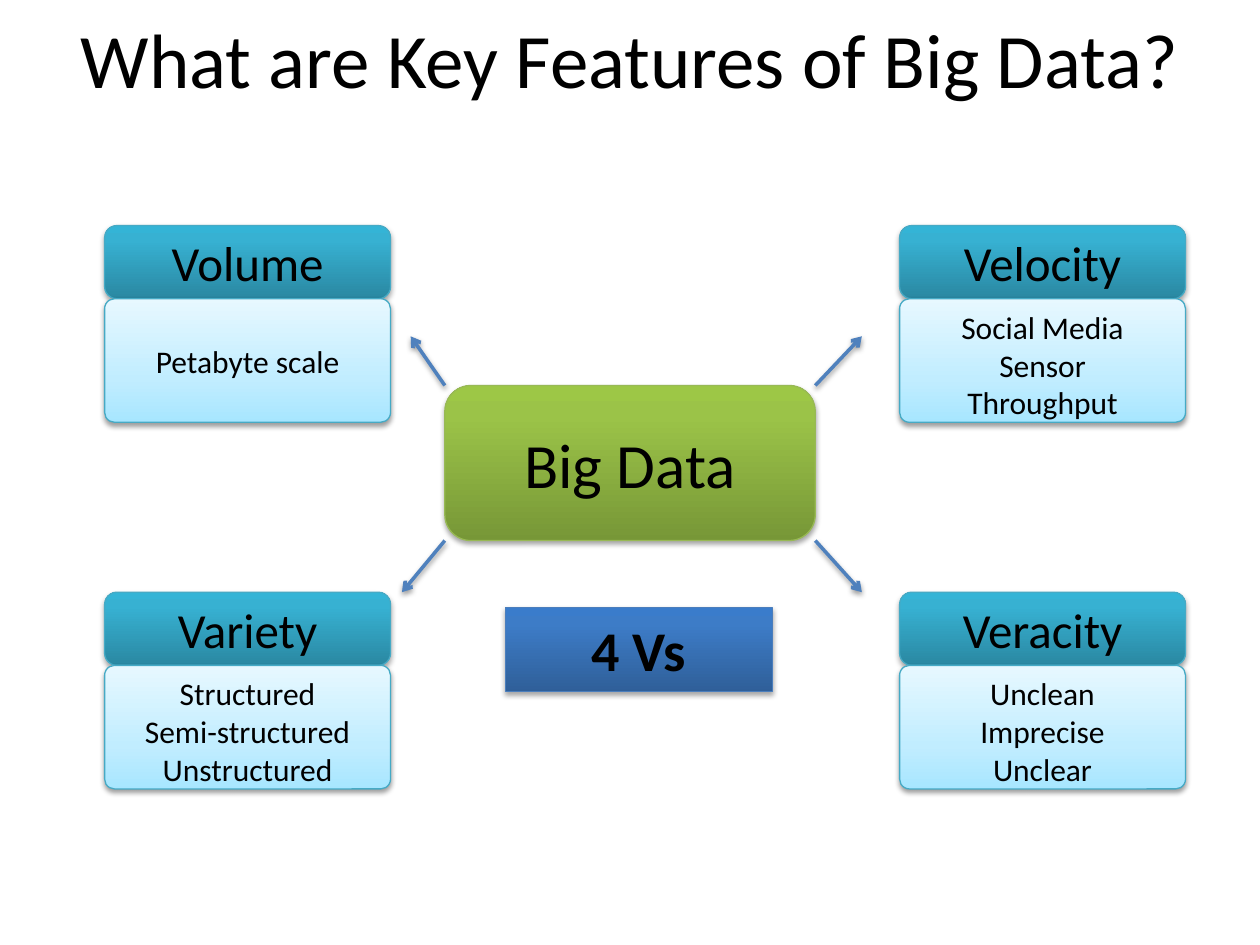
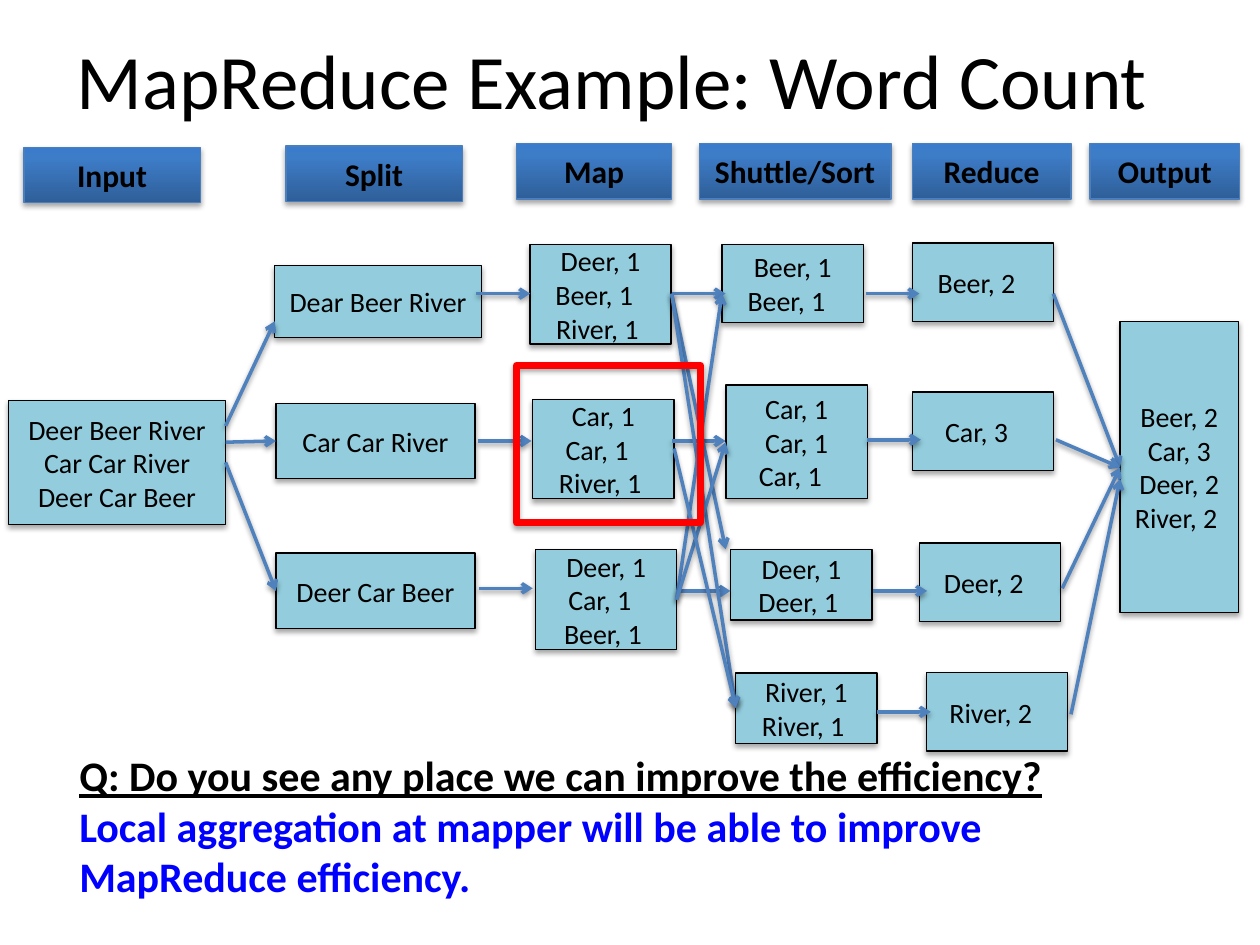
from lxml.etree import SubElement
from pptx import Presentation
from pptx.dml.color import RGBColor
from pptx.enum.shapes import MSO_CONNECTOR, MSO_SHAPE
from pptx.enum.text import MSO_ANCHOR, MSO_AUTO_SIZE, PP_ALIGN
from pptx.oxml.ns import qn
from pptx.util import Pt

FONT = "Calibri"
BLACK = RGBColor(0x00, 0x00, 0x00)
RED = RGBColor(0xFF, 0x00, 0x00)
ANSWER_BLUE = RGBColor(0x00, 0x00, 0xFF)
ARROW_BLUE = RGBColor(0x4F, 0x81, 0xBD)
BOX_TEAL = RGBColor(0x93, 0xCD, 0xDD)
TEAL_EDGE = RGBColor(0x46, 0xAA, 0xC5)
GREEN_EDGE = RGBColor(0x98, 0xB9, 0x55)
BLUE_EDGE = RGBColor(0x4B, 0x7E, 0xBC)

GREEN = [(0, RGBColor(0x77, 0x97, 0x37)), (80, RGBColor(0x9B, 0xC3, 0x48)),
         (100, RGBColor(0x9D, 0xC7, 0x46))]
TEAL = [(0, RGBColor(0x2A, 0x88, 0xA2)), (80, RGBColor(0x37, 0xB1, 0xD2)),
        (100, RGBColor(0x34, 0xB4, 0xD6))]
PALE = [(0, RGBColor(0xA7, 0xE6, 0xFF)), (35, RGBColor(0xC1, 0xED, 0xFF)),
        (100, RGBColor(0xE7, 0xF8, 0xFF))]
BLUE = [(0, RGBColor(0x2F, 0x5F, 0x99)), (80, RGBColor(0x3D, 0x7C, 0xC7)),
        (100, RGBColor(0x3A, 0x7C, 0xCB))]

BOX_SHADOW = (35, 1.8)
SOFT_SHADOW = (38, 1.6)
SPACE_WIDTH = 3.6

FEATURES_TITLE = ("What are Key Features of Big Data?", (36, 0, 648, 65.5))
HUB = ("Big Data", (254.2, 220.3, 211.7, 88.6))
FOUR_VS = ("4 Vs", (288.7, 347, 152.6, 48.2))
FEATURE_COLUMNS = (59.8, 514.1)
FEATURE_ROWS = (128.9, 338.4)
FEATURE_WIDTH, NAME_HEIGHT, DETAIL_HEIGHT = 163.4, 41.8, 70.6
FEATURES = [
    [("Volume", ["Petabyte scale"]),
     ("Velocity", ["Social Media", "Sensor", "Throughput"])],
    [("Variety", ["Structured", "Semi-structured", "Unstructured"]),
     ("Veracity", ["Unclean", "Imprecise", "Unclear"])],
]
HUB_ARROW_TIPS = [
    [(234.7, 192.2), (492.5, 192.2)],
    [(229.7, 338.4), (492.5, 338.4)],
]

COUNT_TITLE = ("MapReduce Example: Word Count", (25.9, 0, 648, 90))
STAGE_HEIGHT = 31.7
STAGES = [
    ("Input", 13.7, 84.2, 100.8),
    ("Split", 163.4, 83.5, 100.8),
    ("Map", 295.2, 82.1, 88.6),
    ("Shuttle/Sort", 399.6, 82.1, 109.6),
    ("Reduce", 521.3, 82.1, 90.7),
    ("Output", 622.8, 82.1, 85.7),
]

PAIR_WIDTH = 80.7
DATA_BOXES = [
    ((5, 229, 123.9, 70.6), ["Deer Beer River", "Car Car River", "Deer Car Beer"]),
    ((157, 151.9, 118.1, 41), ["Dear Beer River"]),
    ((157.7, 230.4, 113.8, 43.2), ["Car Car River"]),
    ((157.7, 316.1, 113.8, 43.2), ["Deer Car Beer"]),
    ((302.8, 139.7, PAIR_WIDTH, 56.9), ["Deer, 1", ("Beer, 1", 2), ("River, 1", 1)]),
    ((304.4, 228.2, PAIR_WIDTH, 56.9), ["Car, 1", ("Car, 1", 2), ("River, 1", 1)]),
    ((306, 314.1, PAIR_WIDTH, 56.9), ["Deer, 1", ("Car, 1", 2), ("Beer, 1", 1)]),
    ((412.6, 139.7, PAIR_WIDTH, 44.6), ["Beer, 1", ("Beer, 1", 2)]),
    ((414.9, 220.1, PAIR_WIDTH, 64.8), ["Car, 1", "Car, 1", ("Car, 1", 2)]),
    ((417.6, 314.1, PAIR_WIDTH, 40.3), ["Deer, 1", ("Deer, 1", 1)]),
    ((420.4, 384.6, PAIR_WIDTH, 40.3), ["River, 1", ("River, 1", 1)]),
    ((521.3, 138.8, PAIR_WIDTH, 44.8), [("Beer, 2", 2)]),
    ((521.3, 224.1, PAIR_WIDTH, 44.8), [("Car, 3", 2)]),
    ((525.4, 310.3, PAIR_WIDTH, 44.8), [("Deer, 2", 2)]),
    ((529.4, 384.5, PAIR_WIDTH, 44.8), [("River, 2", 2)]),
    ((640.1, 183.6, 67.7, 166.3), ["Beer, 2", "Car, 3", "Deer, 2", ("River, 2", 1)]),
]

STEP_LENGTH = 30.8
STEP_STARTS = [
    (272.2, 167.8), (272.9, 252), (273.6, 336.2),
    (383.8, 167.8), (383.8, 252), (386.6, 337.7),
    (494.6, 167.8), (495.4, 251.3), (499, 337.7), (501.1, 406.8),
]
FAN_ARROWS = [
    ((128.9, 252.7), [(157.7, 252)]),
    ((128.9, 243.4), [(157, 183.6)]),
    ((128.9, 264.2), [(157.7, 337.7)]),
    ((383.8, 167.8), [(414.7, 313.9), (420.5, 404.6)]),
    ((386.6, 342.7), [(412.6, 167.8), (414.7, 252.7)]),
    ((385.2, 256.3), [(420.5, 404.6)]),
    ((601.9, 167.8), [(640.1, 267.1)]),
    ((603.4, 251.3), [(640.1, 267.1)]),
    ((607, 336.2), [(640.1, 267.1)]),
    ((612, 408.2), [(640.1, 273.6)]),
]
MAPPER_FRAME = (295.2, 208.8, 105.1, 90)
QUESTION_AREA = (38.2, 424.8, 617.8, 94.3)
QUESTION = "Q: Do you see any place we can improve the efficiency?"
ANSWER = "Local aggregation at mapper will be able to improve MapReduce efficiency."


def points(lengths):
    return [Pt(length) for length in lengths]


def write_run(paragraph, text, size, color=BLACK, bold=False, underline=False):
    run = paragraph.add_run()
    run.text = text
    run.font.name = FONT
    run.font.size = Pt(size)
    run.font.bold = bold
    run.font.underline = underline
    run.font.color.rgb = color


def next_paragraph(frame, index):
    return frame.add_paragraph() if index else frame.paragraphs[0]


def write_centered(frame, lines, size, bold=False):
    for index, line in enumerate(lines):
        text, spaces = line if isinstance(line, tuple) else (line, 0)
        paragraph = next_paragraph(frame, index)
        paragraph.alignment = PP_ALIGN.CENTER
        if spaces:
            properties = paragraph._p.get_or_add_pPr()
            properties.set("marR", str(Pt(SPACE_WIDTH * spaces)))
        write_run(paragraph, text, size, bold=bold)


def cast_shadow(effects, look):
    opacity, distance = look
    shadow = SubElement(effects, qn("a:outerShdw"), blurRad=str(Pt(3.1)),
                        dist=str(Pt(distance)), dir="5400000", rotWithShape="0")
    color = SubElement(shadow, qn("a:srgbClr"), val=str(BLACK))
    SubElement(color, qn("a:alpha"), val=str(opacity * 1000))


def fill_gradient(shape, stops):
    shape.fill.gradient()
    shape.fill.gradient_angle = 90
    stop_list = shape._element.spPr.find(qn("a:gradFill")).find(qn("a:gsLst"))
    for old_stop in list(stop_list):
        stop_list.remove(old_stop)
    for position, color in stops:
        stop = SubElement(stop_list, qn("a:gs"), pos=str(position * 1000))
        SubElement(stop, qn("a:srgbClr"), val=str(color))


def add_box(slide, area, fill, edge, lines=(), size=16, bold=False, outline=MSO_SHAPE.RECTANGLE,
            edge_width=0.75, shadow=BOX_SHADOW):
    box = slide.shapes.add_shape(outline, *points(area))
    if fill is None:
        box.fill.background()
    elif isinstance(fill, list):
        fill_gradient(box, fill)
    else:
        box.fill.solid()
        box.fill.fore_color.rgb = fill
    box.line.color.rgb = edge
    box.line.width = Pt(edge_width)
    box.shadow.inherit = False
    cast_shadow(box._element.spPr.find(qn("a:effectLst")), shadow)
    box.text_frame.word_wrap = True
    box.text_frame.vertical_anchor = MSO_ANCHOR.MIDDLE
    write_centered(box.text_frame, lines, size, bold)
    return box


def add_arrow(slide, start, end):
    arrow = slide.shapes.add_connector(MSO_CONNECTOR.STRAIGHT, *points(start + end))
    arrow.line.color.rgb = ARROW_BLUE
    arrow.line.width = Pt(2)
    properties = arrow._element.spPr
    SubElement(properties.find(qn("a:ln")), qn("a:tailEnd"), type="arrow")
    cast_shadow(SubElement(properties, qn("a:effectLst")), SOFT_SHADOW)


def add_titled_slide(deck, heading):
    text, area = heading
    slide = deck.slides.add_slide(deck.slide_layouts[5])
    title = slide.shapes.title
    title.left, title.top, title.width, title.height = points(area)
    title.text_frame.vertical_anchor = MSO_ANCHOR.MIDDLE
    write_centered(title.text_frame, [text], 44)
    return slide


def add_feature(slide, left, top, name, details):
    add_box(slide, (left, top, FEATURE_WIDTH, NAME_HEIGHT), TEAL, TEAL_EDGE, [name], 28,
            outline=MSO_SHAPE.ROUNDED_RECTANGLE)
    detail = add_box(slide, (left, top + NAME_HEIGHT, FEATURE_WIDTH, DETAIL_HEIGHT), PALE,
                     TEAL_EDGE, details, 18, outline=MSO_SHAPE.ROUNDED_RECTANGLE,
                     shadow=SOFT_SHADOW)
    detail.adjustments[0] = 0.08
    if len(details) > 1:
        detail.text_frame.vertical_anchor = MSO_ANCHOR.TOP


def build_features(deck):
    slide = add_titled_slide(deck, FEATURES_TITLE)
    hub_name, hub_area = HUB
    add_box(slide, hub_area, GREEN, GREEN_EDGE, [hub_name], 36,
            outline=MSO_SHAPE.ROUNDED_RECTANGLE)
    left, top, width, height = hub_area
    for row, feature_top in enumerate(FEATURE_ROWS):
        for column, feature_left in enumerate(FEATURE_COLUMNS):
            corner = (left + column * width, top + row * height)
            add_arrow(slide, corner, HUB_ARROW_TIPS[row][column])
            add_feature(slide, feature_left, feature_top, *FEATURES[row][column])
    summary, summary_area = FOUR_VS
    add_box(slide, summary_area, BLUE, BLUE_EDGE, [summary], 32, bold=True)


def build_word_count(deck):
    slide = add_titled_slide(deck, COUNT_TITLE)
    for area, lines in DATA_BOXES:
        add_box(slide, area, BOX_TEAL, BLACK, lines)
    for stage, left, top, width in STAGES:
        add_box(slide, (left, top, width, STAGE_HEIGHT), BLUE, BLUE_EDGE, [stage], 18, bold=True)
    for left, top in STEP_STARTS:
        add_arrow(slide, (left, top), (left + STEP_LENGTH, top))
    for start, ends in FAN_ARROWS:
        for end in ends:
            add_arrow(slide, start, end)

    discussion = slide.shapes.add_textbox(*points(QUESTION_AREA)).text_frame
    discussion.word_wrap = True
    discussion.auto_size = MSO_AUTO_SIZE.SHAPE_TO_FIT_TEXT
    write_run(next_paragraph(discussion, 0), QUESTION, 24, bold=True, underline=True)
    write_run(next_paragraph(discussion, 1), ANSWER, 24, ANSWER_BLUE, bold=True)
    add_box(slide, MAPPER_FRAME, None, RED, edge_width=4)


def main():
    deck = Presentation()
    deck.slide_width, deck.slide_height = Pt(720), Pt(540)
    build_features(deck)
    build_word_count(deck)
    deck.save("out.pptx")


if __name__ == "__main__":
    main()
